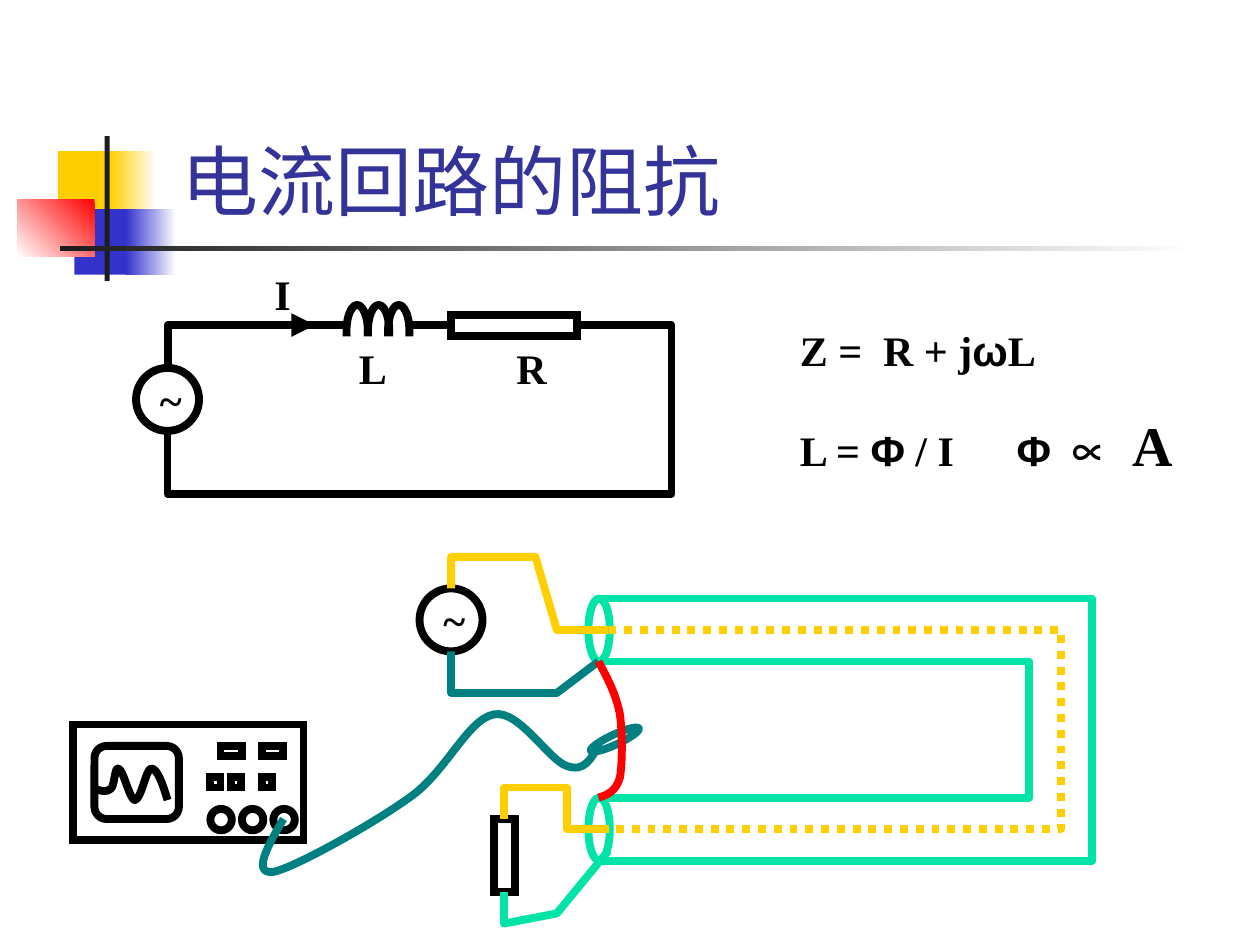
from lxml.etree import SubElement
from pptx import Presentation
from pptx.dml.color import RGBColor
from pptx.enum.dml import MSO_LINE
from pptx.enum.shapes import MSO_CONNECTOR, MSO_SHAPE
from pptx.enum.text import MSO_ANCHOR, MSO_AUTO_SIZE
from pptx.oxml.ns import qn
from pptx.util import Cm, Pt

BLACK = RGBColor(0x00, 0x00, 0x00)
WHITE = RGBColor(0xFF, 0xFF, 0xFF)
DARK = RGBColor(0x1C, 0x1C, 0x1C)
YELLOW = RGBColor(0xFF, 0xCF, 0x01)
BLUE = RGBColor(0x33, 0x33, 0xCC)
NAVY = RGBColor(0x33, 0x33, 0x99)
RED = RGBColor(0xFF, 0x00, 0x00)
GREEN = RGBColor(0x00, 0xE4, 0xA8)
TEAL = RGBColor(0x00, 0x80, 0x80)
SERIF, SANS, TITLE_FONT = "Times New Roman", "Arial", "Cabin"
STROKE = Pt(4.5)
RECT, OVAL = MSO_SHAPE.RECTANGLE, MSO_SHAPE.OVAL


def inch(value):
    """Convert a drawing coordinate in inches to a Cm length."""
    return Cm(value * 2.54)


def set_line(sp, color, dash=None):
    """Give a shape the common stroke, or none."""
    if color is None:
        sp.line.fill.background()
        return
    sp.line.color.rgb = color
    sp.line.width = STROKE
    if dash:
        sp.line.dash_style = dash


def add_box(s, kind, x, y, w, h, line=BLACK, fill=None):
    """Add a preset shape with square corners."""
    sp = s.shapes.add_shape(kind, *map(inch, (x, y, w, h)))
    sp.shadow.inherit = False
    if fill is None:
        sp.fill.background()
    else:
        sp.fill.solid()
        sp.fill.fore_color.rgb = fill
    set_line(sp, line)
    if kind == RECT and line is not None:
        ln = sp._element.spPr.find(qn("a:ln"))
        SubElement(ln, qn("a:miter"), lim="800000")
    return sp


def add_fade(s, x, y, w, h, start, end, angle=180):
    """Add a borderless rectangle with a two-colour gradient."""
    sp = add_box(s, RECT, x, y, w, h, None)
    sp.fill.gradient()
    sp.fill.gradient_angle = angle
    for stop, color, pos in zip(sp.fill.gradient_stops, (start, end), (0, 1)):
        stop.color.rgb = color
        stop.position = pos


def add_wire(s, points, color=BLACK, dash=None):
    """Add an open outline through the points."""
    pts = [(inch(x), inch(y)) for x, y in points]
    builder = s.shapes.build_freeform(*pts[0])
    builder.add_line_segments(pts[1:], close=False)
    sp = builder.convert_to_shape()
    sp.shadow.inherit = False
    sp.fill.background()
    set_line(sp, color, dash)
    return sp


def add_curve(s, points, color=BLACK):
    """Add chained cubic curves given as start, control, control, end."""
    outline = next(add_wire(s, points, color)._element.iter(qn("a:path")))
    segments = outline.findall(qn("a:lnTo"))
    for i in range(0, len(segments), 3):
        cubic = SubElement(outline, qn("a:cubicBezTo"))
        for segment in segments[i:i + 3]:
            cubic.append(segment[0])
            outline.remove(segment)


def add_link(s, x1, x2, y, arrow=False):
    """Add a straight horizontal lead, with an optional arrowhead."""
    cxn = s.shapes.add_connector(MSO_CONNECTOR.STRAIGHT, *map(inch, (x1, y, x2, y)))
    set_line(cxn, BLACK)
    sp_pr = cxn._element.spPr
    if arrow:
        SubElement(sp_pr.find(qn("a:ln")), qn("a:tailEnd"), type="triangle")
    SubElement(sp_pr, qn("a:effectLst"))


def add_run(p, text, size=24, font=SERIF, color=BLACK, bold=True):
    """Add one formatted run to a paragraph."""
    r = p.add_run()
    r.text = text
    r.font.size, r.font.name, r.font.bold = Pt(size), font, bold
    r.font.color.rgb = color


def add_text(s, x, y, w, h):
    """Add a wrapping text box and return its text frame."""
    tf = s.shapes.add_textbox(*map(inch, (x, y, w, h))).text_frame
    tf.word_wrap = True
    tf.auto_size = MSO_AUTO_SIZE.SHAPE_TO_FIT_TEXT
    return tf


def add_label(s, text, x, y):
    """Add a one-letter label."""
    add_run(add_text(s, x, y, 0.42, 0.5).paragraphs[0], text)


def add_source(s, x, y, label_x):
    """Add an alternating-current source."""
    add_box(s, OVAL, x, y, 0.5, 0.5)
    add_label(s, "~", label_x, y)


def add_title(s):
    """Add the ornament and the title."""
    add_box(s, RECT, 0.46, 1.2, 0.48, 0.52, None, YELLOW)
    add_fade(s, 0.88, 1.2, 0.36, 0.52, WHITE, YELLOW)
    add_box(s, RECT, 0.59, 1.66, 0.46, 0.52, None, BLUE)
    add_fade(s, 1, 1.66, 0.4, 0.52, WHITE, BLUE)
    add_fade(s, 0.14, 1.58, 0.61, 0.46, RED, WHITE, 225)
    add_box(s, RECT, 0.83, 1.08, 0.04, 1.15, None, DARK)
    add_fade(s, 0.48, 1.95, 9, 0.04, WHITE, DARK)
    tf = add_text(s, 1.34, 0.59, 8.52, 1.25)
    tf.auto_size = MSO_AUTO_SIZE.NONE
    tf.vertical_anchor = MSO_ANCHOR.BOTTOM
    add_run(tf.paragraphs[0], "电流回路的阻抗", 44, TITLE_FONT, NAVY, False)


def add_circuit(s):
    """Add the series circuit of source, coil and resistor."""
    add_source(s, 1.08, 2.92, 1.17)
    add_wire(s, [(1.33, 2.92), (1.33, 2.58), (2.75, 2.58)])
    for x in (2.75, 2.92, 3.08):
        add_box(s, OVAL, x, 2.42, 0.17, 0.42)
    add_box(s, RECT, 3.58, 2.5, 1, 0.17)
    add_box(s, RECT, 2.5, 2.67, 0.83, 0.25, None, WHITE)
    add_link(s, 3.25, 3.58, 2.58)
    add_wire(s, [(1.33, 3.42), (1.33, 3.92), (5.33, 3.92), (5.33, 2.58), (4.58, 2.58)])
    add_link(s, 1.75, 2.5, 2.58, arrow=True)
    for text, x, y in (("L", 2.75, 2.67), ("R", 4, 2.67), ("I", 2.08, 2.08)):
        add_label(s, text, x, y)


def add_formulas(s):
    """Add the impedance and inductance formulas on shared tab stops."""
    tf = add_text(s, 6.25, 2.53, 3.58, 1.31)
    formulas = (
        (("Z =\tR + j", 24, SERIF), ("ω", 24, SANS), ("L", 24, SERIF)),
        (("L = ", 24, SERIF), ("Φ", 24, SANS), (" / I\t", 24, SERIF),
         ("Φ ", 24, SANS), ("∝", 32, SANS), (" A", 32, SERIF)),
    )
    for i, runs in enumerate(formulas):
        p = tf.add_paragraph() if i else tf.paragraphs[0]
        tabs = SubElement(p._p.get_or_add_pPr(), qn("a:tabLst"))
        for pos in (0.66, 1.72):
            SubElement(tabs, qn("a:tab"), pos=str(inch(pos)), algn="l")
        if i:
            p.space_before = Pt(20)
        for run in runs:
            add_run(p, *run)


def add_cable(s):
    """Add the shielded cable loop with its source, load and probe ring."""
    add_source(s, 3.33, 4.67, 3.42)
    for ring_y, y, right in ((4.75, 4.75, 8.67), (6.33, 5.25, 8.17)):
        end = 11.58 - y
        add_box(s, OVAL, 4.67, ring_y, 0.17, 0.5, GREEN, WHITE)
        add_wire(s, [(4.75, y), (right, y), (right, end), (4.75, end)], GREEN)
    add_wire(s, [(3.58, 4.67), (3.58, 4.42), (4.25, 4.42), (4.42, 5), (4.83, 5)], YELLOW)
    add_wire(s, [(3.58, 5.17), (3.58, 5.5), (4.42, 5.5), (4.75, 5.25)], TEAL)
    add_box(s, RECT, 3.92, 6.5, 0.17, 0.58, BLACK, WHITE)
    add_wire(s, [(4, 7.08), (4, 7.33), (4.42, 7.25), (4.83, 6.75)], GREEN)
    add_wire(s, [(4, 6.5), (4, 6.25), (4.5, 6.25), (4.5, 6.58), (4.83, 6.58)], YELLOW)
    add_wire(s, [(4.83, 5), (8.42, 5), (8.42, 6.58), (4.83, 6.58)], YELLOW, MSO_LINE.ROUND_DOT)
    add_box(s, OVAL, 4.67, 5.83, 0.42, 0.08, TEAL, WHITE).rotation = 335
    add_curve(s, [(4.75, 5.25), (4.82, 5.38), (4.89, 5.51), (4.92, 5.67), (4.94, 5.82),
                  (4.94, 6.06), (4.92, 6.17), (4.89, 6.28), (4.82, 6.31), (4.75, 6.33)], RED)


def add_oscilloscope(s):
    """Add the oscilloscope and its probe lead."""
    add_box(s, RECT, 0.58, 5.75, 1.83, 0.92, BLACK, WHITE)
    add_box(s, MSO_SHAPE.ROUNDED_RECTANGLE, 0.75, 5.92, 0.67, 0.58)
    rows = ((OVAL, (1.67, 1.92, 2.17), 6.42, 0.17, 0.17),
            (RECT, (1.67, 1.83, 2.08), 6.17, 0.08, 0.08),
            (RECT, (1.75, 2.08), 5.92, 0.17, 0.08))
    for kind, lefts, y, w, h in rows:
        for x in lefts:
            add_box(s, kind, x, y, w, h, BLACK, WHITE)
    add_curve(s, [(0.75, 6.26), (0.8, 6.28), (0.85, 6.29), (0.88, 6.26), (0.91, 6.24),
                  (0.91, 6.08), (0.94, 6.1), (0.98, 6.11), (1.03, 6.35), (1.07, 6.35),
                  (1.12, 6.35), (1.16, 6.1), (1.2, 6.1), (1.25, 6.1), (1.29, 6.22),
                  (1.33, 6.35)])
    add_curve(s, [(2.25, 6.5), (2.12, 6.72), (2, 6.94), (2.17, 6.92), (2.33, 6.89),
                  (2.96, 6.54), (3.25, 6.33), (3.54, 6.13), (3.71, 5.71), (3.92, 5.67),
                  (4.12, 5.63), (4.36, 6.04), (4.5, 6.08), (4.64, 6.13), (4.69, 6.02),
                  (4.75, 5.92)], TEAL)


def main():
    """Build and save the slide."""
    prs = Presentation()
    prs.slide_width, prs.slide_height = Cm(25.4), Cm(19.05)
    s = prs.slides.add_slide(prs.slide_layouts[6])
    for draw in (add_title, add_circuit, add_formulas, add_cable, add_oscilloscope):
        draw(s)
    prs.save("out.pptx")


if __name__ == "__main__":
    main()
